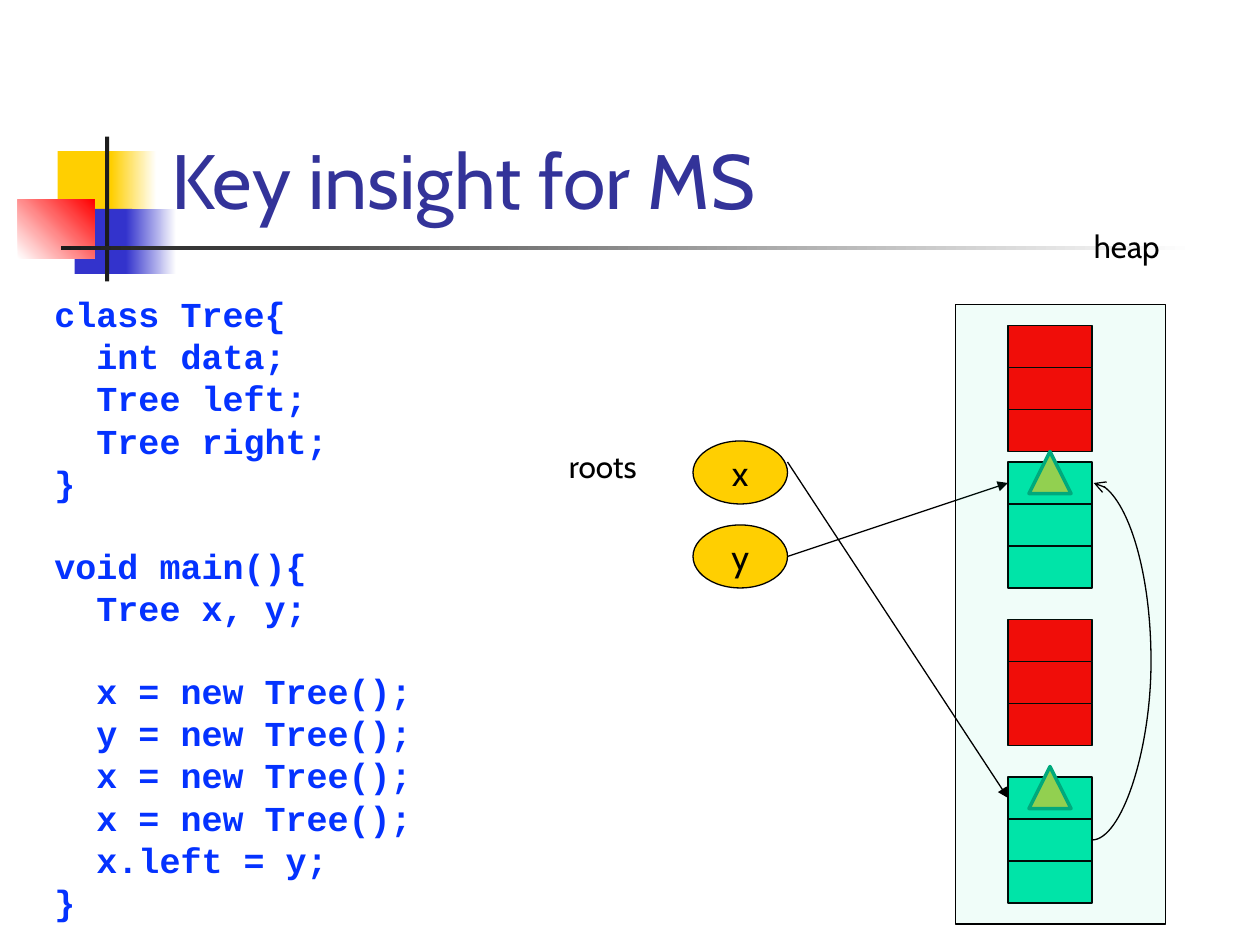
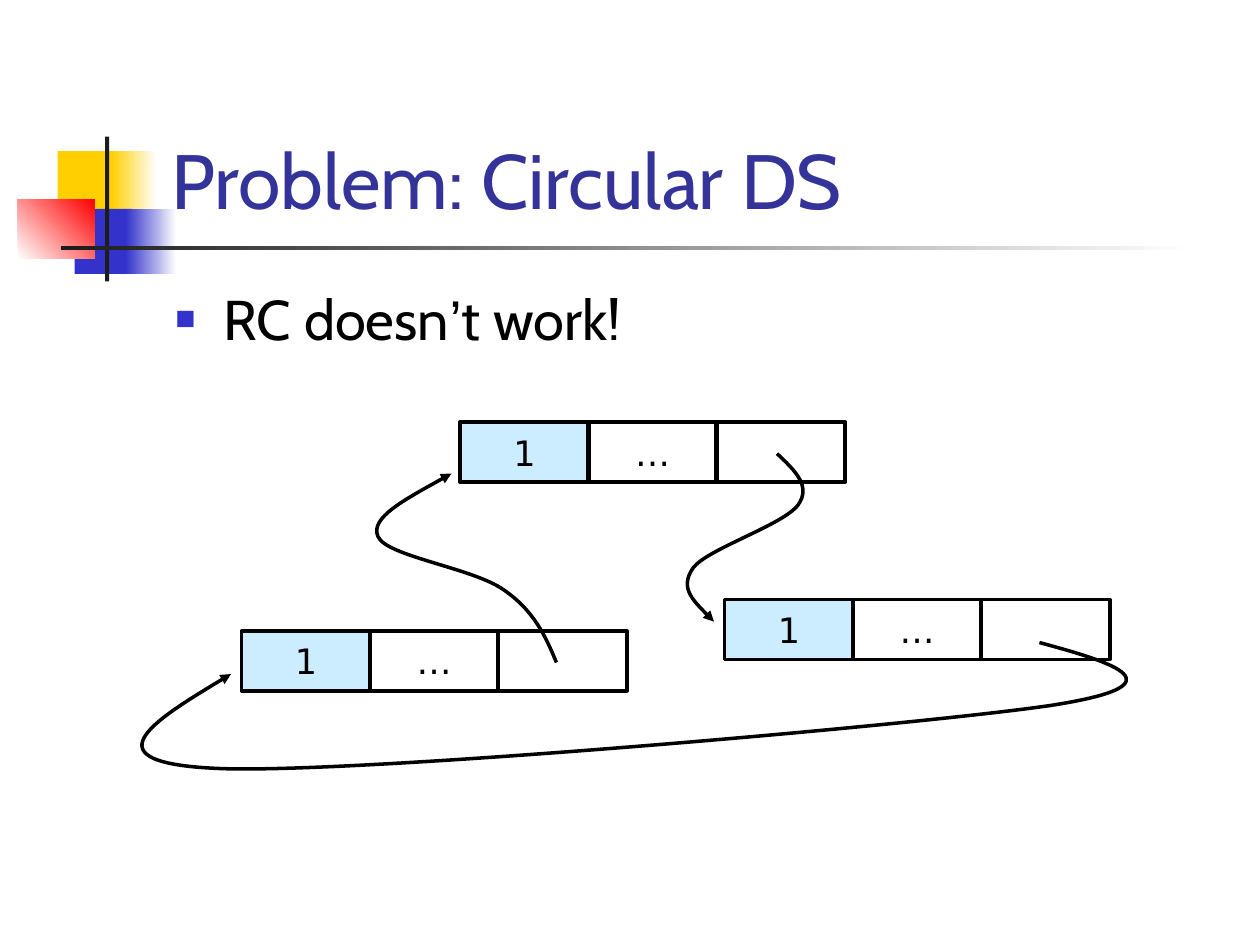
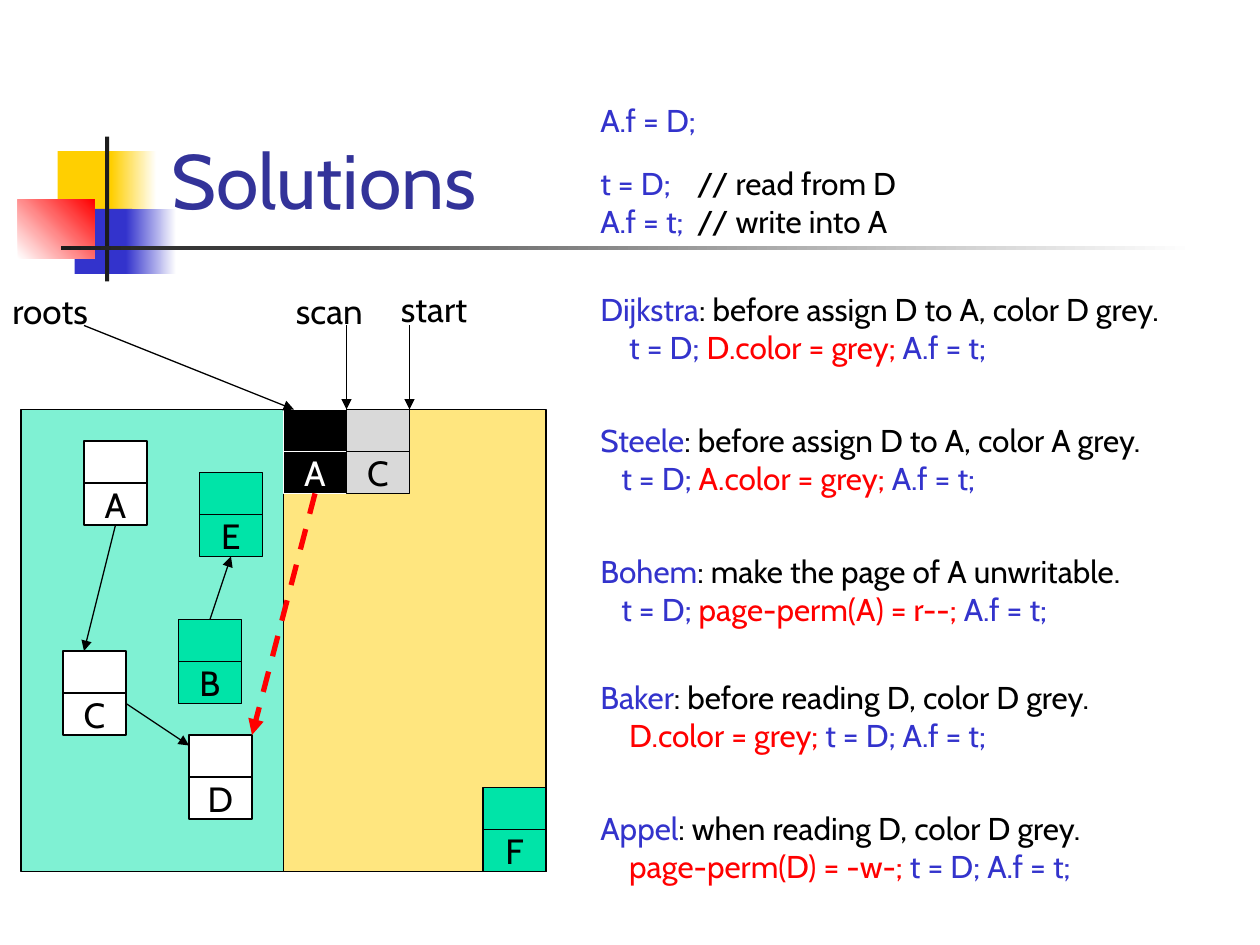
from lxml import etree
from pptx import Presentation
from pptx.dml.color import RGBColor
from pptx.enum.dml import MSO_LINE
from pptx.enum.shapes import MSO_CONNECTOR as Link, MSO_SHAPE as Shape
from pptx.enum.text import MSO_ANCHOR as Anchor, MSO_AUTO_SIZE as Fit, PP_ALIGN as Align
from pptx.oxml.ns import qn
from pptx.util import Inches, Pt

rgb = RGBColor.from_string

# Grid: 120 columns by 90 rows
WIDTH, HEIGHT = Inches(10), Inches(7.5)
UNIT = WIDTH // 120

# Shared colours and fonts
BLACK, WHITE, RED = "000000", "FFFFFF", "FF0000"
GOLD, BLUE, GREEN, DARK = "FFCF01", "3333CC", "00E4A8", "1C1C1C"
TITLE_BLUE, CODE_BLUE, PALE_BLUE, GREY = "333399", "0432FF", "CCECFF", "D9D9D9"
SANS, MONO, PLAIN = "Cabin", "Courier New", "DejaVu Sans"


def draw(page, kind, place, fill=None, line=None, width=0.75, alpha=None, arrow=None, dash=None):
    """Draw a text box, connector, open path or preset shape at grid positions."""
    spots = [round(value * UNIT) for value in place]
    if kind == "text":
        return page.shapes.add_textbox(*spots)
    if isinstance(kind, Link):
        shape = page.shapes.add_connector(kind, *spots)
    elif kind == "path":
        points = list(zip(spots[::2], spots[1::2]))
        builder = page.shapes.build_freeform(*points[0], scale=1.0)
        shape = builder.add_line_segments(points[1:], close=False).convert_to_shape()
    else:
        shape = page.shapes.add_shape(kind, *spots)

    if isinstance(fill, tuple):
        start, end, angle = fill
        shape.fill.gradient()
        shape.fill.gradient_angle = angle
        for stop, color in zip(shape.fill.gradient_stops, (start, end)):
            stop.color.rgb = rgb(color)
    elif fill:
        shape.fill.solid()
        shape.fill.fore_color.rgb = rgb(fill)
        if alpha:
            color = shape._element.spPr.find(f"{qn('a:solidFill')}/{qn('a:srgbClr')}")
            etree.SubElement(color, qn("a:alpha"), val=str(alpha * 1000))
    elif not isinstance(kind, Link):
        shape.fill.background()

    if line:
        shape.line.color.rgb = rgb(line)
        shape.line.width = Pt(width)
    else:
        shape.line.fill.background()
    if dash:
        shape.line.dash_style = dash
    properties = shape._element.spPr
    if arrow:
        etree.SubElement(properties.get_or_add_ln(), qn("a:tailEnd"), type=arrow)
    etree.SubElement(properties, qn("a:effectLst"))
    return shape


def write(box, lines, size=18, font=SANS, color=BLACK, bold=None, align=Align.LEFT,
          anchor=Anchor.TOP, wrap=True, spacing=None, gap=0, tab=None):
    """Fill a box; a line is a string or a list of (text, colour) spans."""
    frame = box.text_frame
    frame.auto_size = Fit.NONE
    frame.word_wrap = wrap
    frame.vertical_anchor = anchor
    for index, line in enumerate(lines):
        para = frame.add_paragraph() if index else frame.paragraphs[0]
        if tab:
            tabs = etree.SubElement(para._p.get_or_add_pPr(), qn("a:tabLst"))
            etree.SubElement(tabs, qn("a:tab"), pos=str(round(tab * UNIT)), algn="l")
        para.alignment = align
        para.space_before = Pt(gap if index else 0)
        if spacing:
            para.line_spacing = spacing
        for text, shade in [(line, color)] if isinstance(line, str) else line:
            span = para.add_run()
            span.text = text
            span.font.size = Pt(size)
            span.font.name = font
            span.font.bold = bold
            span.font.color.rgb = rgb(shade)
    return frame.paragraphs


deck = Presentation()
deck.slide_width, deck.slide_height = WIDTH, HEIGHT

# Shared title and corner ornament
ORNAMENT = [
    ((5.5, 14.4, 5.8, 6.2), GOLD),
    ((10.6, 14.4, 4.3, 6.2), (GOLD, WHITE, 0)),
    ((7.1, 19.9, 5.5, 6.2), BLUE),
    ((12, 19.9, 4.8, 6.2), (BLUE, WHITE, 0)),
    ((1.7, 19, 7.3, 5.6), (WHITE, RED, 45)),
    ((10, 13, 0.4, 13.8), DARK),
    ((5.8, 23.4, 108, 0.4), (DARK, WHITE, 0)),
]
pages = []
for heading, layout in [("Key insight for MS", 5), ("Problem: Circular DS", 1), ("Solutions", 5)]:
    page = deck.slides.add_slide(deck.slide_layouts[layout])
    for place, fill in ORNAMENT:
        draw(page, Shape.RECTANGLE, place, fill)
    title = page.shapes.title
    title.left, title.top, title.width, title.height = [
        round(value * UNIT) for value in (15.1, 2.8, 102.2, 19.2)]
    write(title, [heading], size=44, color=TITLE_BLUE, anchor=Anchor.BOTTOM)
    pages.append(page)
insight, problem, solutions = pages

# Slide 1: roots
for name, row in [("x", 42), ("y", 50)]:
    root = draw(insight, Shape.OVAL, (66, row, 9, 6), GOLD, BLACK)
    write(root, [name], size=20, align=Align.CENTER, anchor=Anchor.MIDDLE, wrap=False)

# Slide 1: heap objects of three cells each
first_cells = {}
for row, fill in [(31, RED), (44, GREEN), (59, RED), (74, GREEN)]:
    cells = [draw(insight, Shape.RECTANGLE, (96, row + 4 * step, 8, 4), fill, BLACK)
             for step in range(3)]
    first_cells[row] = cells[0]

# Slide 1: references and heap area
y_link = draw(insight, Link.STRAIGHT, (75, 53, 96, 46), line=BLACK, arrow="triangle")
y_link.end_connect(first_cells[44], 1)
draw(insight, Shape.RECTANGLE, (91, 29, 20, 59), GREEN, BLACK, alpha=6)
x_link = draw(insight, Link.STRAIGHT, (75, 44, 96, 76), line=BLACK, arrow="triangle")
x_link.end_connect(first_cells[74], 1)
left_link = draw(insight, Link.CURVE, (104, 80, 104.17, 46), line=BLACK, arrow="arrow")
bends = left_link._element.spPr.find(qn("a:prstGeom")).get_or_add_avLst()
etree.SubElement(bends, qn("a:gd"), name="adj1", fmla="val 3309700")

# Slide 1: code, with a wider gap before each later block
CODE = [
    ["class Tree{", "  int data;", "  Tree left;", "  Tree right;", "}"],
    ["void main(){", "  Tree x, y;"],
    ["  x = new Tree();", "  y = new Tree();", "  x = new Tree();", "  x = new Tree();",
     "  x.left = y;", "}"],
]
code_box = draw(insight, "text", (4, 28, 46.4, 54))
paras = write(code_box, sum(CODE, []), size=20, font=MONO, color=CODE_BLUE, bold=True,
              spacing=0.8, gap=5)
for start in (len(CODE[0]), len(CODE[0] + CODE[1])):
    paras[start].space_before = Pt(28)

# Slide 1: labels and marks
write(draw(insight, "text", (103, 21, 9, 4.8)), ["heap"], wrap=False)
write(draw(insight, "text", (53, 42, 12, 4.8)), ["roots"])
for row in (73, 43):
    draw(insight, Shape.ISOSCELES_TRIANGLE, (98, row, 4, 4), "92D050", "00A97C", width=2)

# Slide 2: bullet
body = problem.placeholders[1]
body.left, body.top, body.width, body.height = [
    round(value * UNIT) for value in (15.5, 26.5, 102, 10.6)]
bullet = body.text_frame.paragraphs[0]._p.get_or_add_pPr()
bullet.set("marL", str(Inches(0.38)))
bullet.set("indent", str(-Inches(0.38)))
etree.SubElement(etree.SubElement(bullet, qn("a:buClr")), qn("a:srgbClr"), val=BLUE)
etree.SubElement(bullet, qn("a:buSzPct"), val="60000")
etree.SubElement(bullet, qn("a:buFont"), typeface="Arial")
etree.SubElement(bullet, qn("a:buChar"), char="■")
paras = write(body, [[("RC doesn", BLACK), ("’", BLACK), ("t work!", BLACK)]], size=32)
paras[0].runs[1].font.name = "Arial"

# Slide 2: nodes with count, data and pointer cells
for column, row in [(43.8, 40.2), (69, 57.1), (23, 60.1)]:
    for step, (text, fill) in enumerate([("1", PALE_BLUE), ("…", None), ("", None)]):
        cell = draw(problem, Shape.RECTANGLE, (column + 12.2 * step, row, 12.3, 5.7),
                    fill, BLACK, width=2)
        if text:
            write(cell, [text], size=20, font=PLAIN, align=Align.CENTER,
                  anchor=Anchor.MIDDLE, wrap=False)

# Slide 2: curved pointers; every three points after the start form one curve
POINTERS = [
    (74, 43.2, 75.7, 44.8, 77.3, 46.3, 76, 48.1, 74.6, 50, 67.3, 52.3, 66, 54.1,
     64.7, 56, 66.4, 57.6, 68, 59.2),
    (99, 61.2, 106, 63.1, 113, 65.2, 100, 67.2, 87, 69.1, 34, 73.7, 21, 73.2,
     8, 72.7, 15, 68.4, 22, 64.2),
    (53, 63.1, 52, 60.7, 50.9, 58.2, 48, 56.2, 45.1, 54.1, 36.8, 53, 36, 51.1,
     35.2, 49.3, 39.1, 47.3, 43, 45.1),
]
for points in POINTERS:
    pointer = draw(problem, "path", points, line=BLACK, width=2, arrow="triangle")
    segments = list(pointer._element.iter(qn("a:lnTo")))
    outline = segments[0].getparent()
    for start in range(0, len(segments), 3):
        curve = etree.SubElement(outline, qn("a:cubicBezTo"))
        for segment in segments[start:start + 3]:
            curve.append(segment[0])
            outline.remove(segment)

# Slide 3: the two memory halves
for column, fill in [(2, GREEN), (27, GOLD)]:
    draw(solutions, Shape.RECTANGLE, (column, 39, 25, 44), fill, BLACK, alpha=50)

# Slide 3: objects of two cells, the lower one named
OBJECTS = [
    ("A", 8, 42, WHITE, BLACK), ("C", 6, 62, WHITE, BLACK), ("D", 18, 70, WHITE, BLACK),
    ("B", 17, 59, GREEN, BLACK), ("E", 19, 45, GREEN, BLACK), ("A", 27, 39, BLACK, WHITE),
    ("F", 46, 75, GREEN, BLACK), ("C", 33, 39, GREY, BLACK),
]
objects = []
for name, column, row, fill, ink in OBJECTS:
    upper, lower = [draw(solutions, Shape.RECTANGLE, (column, row + 4 * step, 6, 4), fill, ink)
                    for step in range(2)]
    write(lower, [name], size=20, color=ink, align=Align.CENTER, anchor=Anchor.MIDDLE, wrap=False)
    objects.append((upper, lower))

# Slide 3: references between objects and from labels
ARROWS = [(11, 50, 8, 62), (20, 59, 22, 53), (12, 67, 18, 71),
          (8, 31, 28, 39), (33, 31, 33, 39), (39, 31, 39, 39)]
arrows = [draw(solutions, Link.STRAIGHT, ends, line=BLACK, arrow="triangle") for ends in ARROWS]
arrows[0].begin_connect(objects[0][1], 2)
arrows[1].begin_connect(objects[3][0], 0)
arrows[1].end_connect(objects[4][1], 2)
new_link = draw(solutions, Link.STRAIGHT, (30, 47, 24, 70), line=RED, width=3,
                arrow="triangle", dash=MSO_LINE.DASH)
new_link.begin_connect(objects[5][1], 2)
for label, column, row in [("roots", 0, 27), ("scan", 27, 27), ("start", 37, 26.8)]:
    write(draw(solutions, "text", (column, row, 10, 5.2)), [label], size=20)

# Slide 3: the assignment and its two steps
write(draw(solutions, "text", (56, 9, 61, 4.8)), ["A.f = D;"], color=BLUE)
write(draw(solutions, "text", (56, 15, 61, 8.5)),
      [[("t = D;\t", BLUE), ("// read from D", BLACK)],
       [("A.f = t;\t", BLUE), ("// write into A", BLACK)]], tab=9.2)

# Slide 3: barriers, each with a rule and its steps
BARRIERS = [
    (27, "Dijkstra", "before assign D to A, color D grey.", 2.75,
     [("t = D; ", BLUE), ("D.color = grey; ", RED), ("A.f = t;", BLUE)]),
    (39.5, "Steele", "before assign D to A, color A grey.", 2,
     [("t = D; ", BLUE), ("A.color = grey; ", RED), ("A.f = t;", BLUE)]),
    (52, "Bohem", "make the page of A unwritable.", 2,
     [("t = D; ", BLUE), ("page-perm(A) = r--; ", RED), ("A.f = t;", BLUE)]),
    (64, "Baker", "before reading D, color D grey.", 2.75,
     [("D.color = grey; ", RED), ("t = D; A.f = t;", BLUE)]),
    (76.5, "Appel", "when reading D, color D grey.", 2.75,
     [("page-perm(D) = -w-; ", RED), ("t = D; A.f = t;", BLUE)]),
]
for row, author, rule, indent, steps in BARRIERS:
    paras = write(draw(solutions, "text", (56, row, 61, 8.5)),
                  [[(author, BLUE), (f": {rule}", BLACK)], steps])
    paras[1]._p.get_or_add_pPr().set("marL", str(round(indent * UNIT)))

deck.save("out.pptx")
